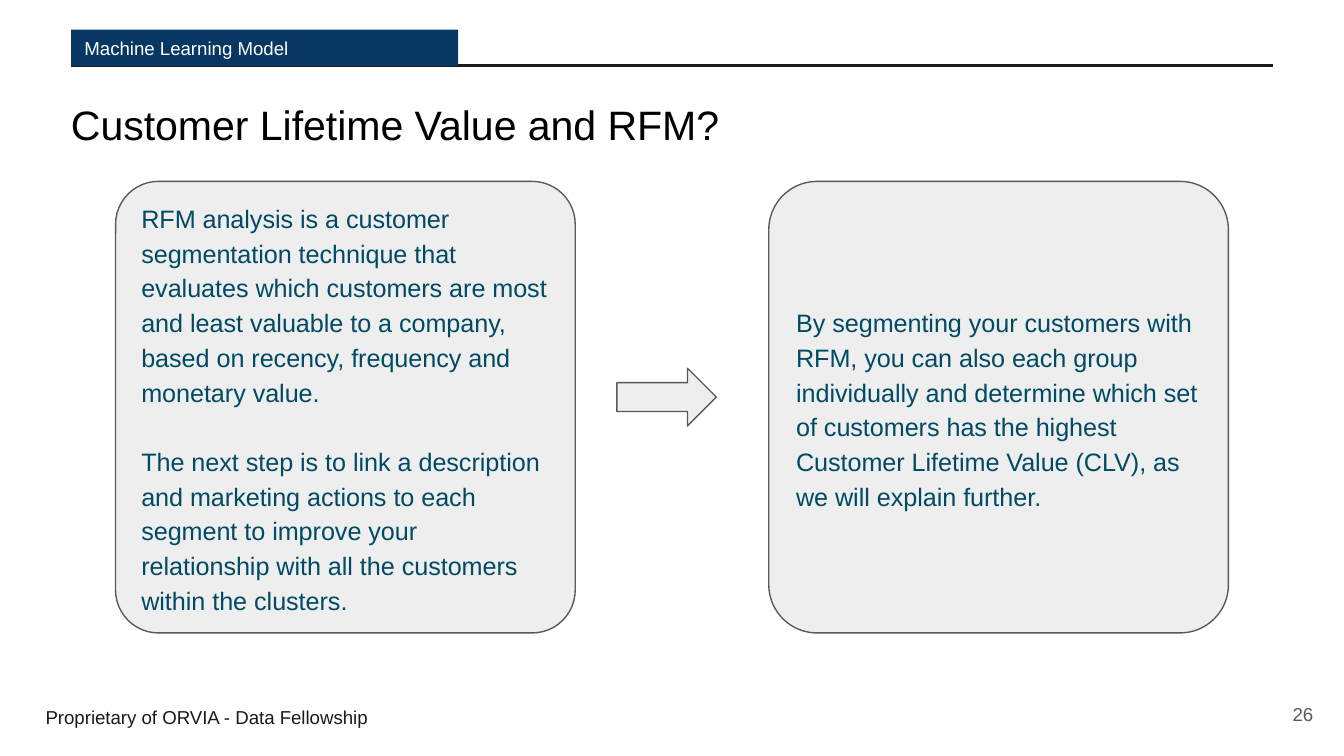
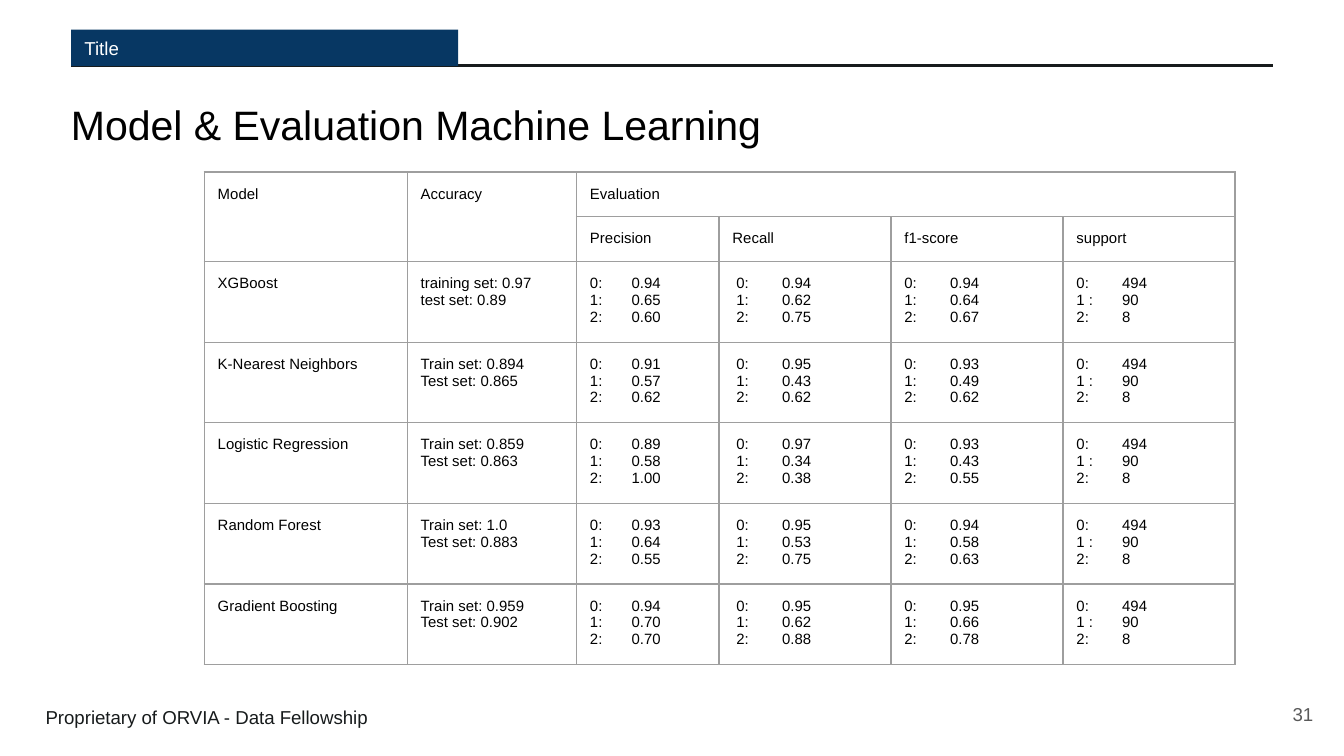
from lxml.etree import SubElement
from pptx import Presentation
from pptx.dml.color import RGBColor
from pptx.enum.shapes import MSO_CONNECTOR, MSO_SHAPE
from pptx.enum.text import MSO_ANCHOR, PP_ALIGN
from pptx.oxml.ns import qn
from pptx.util import Inches, Pt

FONT = "Arial"
NAVY = RGBColor(0x07, 0x37, 0x63)
INK = RGBColor(0x17, 0x1B, 0x1C)
TEAL = RGBColor(0x00, 0x4A, 0x64)
GREY = RGBColor(0x59, 0x59, 0x59)
PALE = RGBColor(0xEE, 0xEE, 0xEE)
BLACK = RGBColor(0x00, 0x00, 0x00)
WHITE = RGBColor(0xFF, 0xFF, 0xFF)
BORDER = RGBColor(0x9E, 0x9E, 0x9E)


def write(tf, text, size, color, spacing=None, align=PP_ALIGN.LEFT, gap=0):
    """Fill a frame, one paragraph per line of text, with gap points between them."""
    tf.word_wrap = True
    tf.vertical_anchor = MSO_ANCHOR.MIDDLE
    tf.margin_left = tf.margin_right = tf.margin_top = tf.margin_bottom = Inches(0.1)
    tf.text = text
    for i, p in enumerate(tf.paragraphs):
        p.alignment = align
        if spacing:
            p.line_spacing = spacing
        if i and gap:
            p.space_before = Pt(gap)
        for r in p.runs:
            r.font.name = FONT
            r.font.size = Pt(size)
            r.font.color.rgb = color


def add_block(s, kind, at, fill, line=None):
    sp = s.shapes.add_shape(kind, *map(Inches, at))
    sp.shadow.inherit = False
    sp.fill.solid()
    sp.fill.fore_color.rgb = fill
    if line is None:
        sp.line.fill.background()
    else:
        sp.line.color.rgb = line
        sp.line.width = Pt(0.75)
    return sp


prs = Presentation()
prs.slide_width = Inches(10)
prs.slide_height = prs.slide_width * 9 // 16

# Shared frame: rule, section tab, title, footer and page number
slides = []
for section, title, page in [
    ("Machine Learning Model", "Customer Lifetime Value and RFM?", "26"),
    ("Title", "Model & Evaluation Machine Learning", "31"),
]:
    s = prs.slides.add_slide(prs.slide_layouts[6])
    slides.append(s)
    rule = s.shapes.add_connector(
        MSO_CONNECTOR.STRAIGHT, Inches(0.53), Inches(0.49), Inches(9.47), Inches(0.49))
    rule.line.color.rgb = INK
    rule.line.width = Pt(1.5)
    SubElement(rule._element.spPr, qn("a:effectLst"))
    tab = add_block(s, MSO_SHAPE.RECTANGLE, (0.53, 0.22, 2.88, 0.27), NAVY)
    write(tab.text_frame, section, 10, WHITE)
    for at, text, size, color, spacing, align in [
        ((0.43, 0.57, 6.43, 0.71), title, 22, BLACK, None, PP_ALIGN.LEFT),
        ((0.24, 5.13, 3.61, 0.38), "Proprietary of ORVIA - Data Fellowship",
         10, INK, 1.15, PP_ALIGN.LEFT),
        ((9.27, 5.1, 0.6, 0.43), page, 10, GREY, None, PP_ALIGN.RIGHT),
    ]:
        box = s.shapes.add_textbox(*map(Inches, at))
        write(box.text_frame, text, size, color, spacing, align)

# Slide 1: two cards joined by an arrow
s = slides[0]
RFM = (
    "RFM analysis is a customer segmentation technique that evaluates which customers "
    "are most and least valuable to a company, based on recency, frequency and "
    "monetary value.\n"
    "The next step is to link a description and marketing actions to each segment to "
    "improve your relationship with all the customers within the clusters."
)
CLV = (
    "By segmenting your customers with RFM, you can also each group individually and "
    "determine which set of customers has the highest Customer Lifetime Value (CLV), "
    "as we will explain further."
)
for left, radius, text in [(0.86, 0.095, RFM), (5.72, 0.107, CLV)]:
    card = add_block(s, MSO_SHAPE.ROUNDED_RECTANGLE, (left, 1.35, 3.42, 3.36), PALE, GREY)
    card.adjustments[0] = radius
    write(card.text_frame, text, 13.5, TEAL, 1.15, gap=18.6)
add_block(s, MSO_SHAPE.RIGHT_ARROW, (4.59, 2.74, 0.74, 0.43), PALE, GREY)

# Slide 2: evaluation table; each score column lists classes 0, 1 and 2
s = slides[1]
MODELS = [
    ("XGBoost", "training set: 0.97\ntest set: 0.89",
     ("0.94 0.65 0.60", "0.94 0.62 0.75", "0.94 0.64 0.67")),
    ("K-Nearest Neighbors", "Train set: 0.894\nTest set: 0.865",
     ("0.91 0.57 0.62", "0.95 0.43 0.62", "0.93 0.49 0.62")),
    ("Logistic Regression", "Train set: 0.859\nTest set: 0.863",
     ("0.89 0.58 1.00", "0.97 0.34 0.38", "0.93 0.43 0.55")),
    ("Random Forest", "Train set: 1.0\nTest set: 0.883",
     ("0.93 0.64 0.55", "0.95 0.53 0.75", "0.94 0.58 0.63")),
    ("Gradient Boosting", "Train set: 0.959\nTest set: 0.902",
     ("0.94 0.70 0.70", "0.95 0.62 0.88", "0.95 0.66 0.78")),
]
SUPPORT = "494 90 8"
COLS = [1.51, 1.26, 1.06, 1.28, 1.28, 1.28]
ROWS = [0.29] * 2 + [0.54] * 5
TAB_STOPS = {2: 0.31, 3: 0.34, 4: 0.34, 5: 0.34}

grid = [
    ["Model", "Accuracy", "Evaluation", "", "", ""],
    ["", "", "Precision", "Recall", "f1-score", "support"],
]
for model, accuracy, scores in MODELS:
    row = [model, accuracy]
    for values in (*scores, SUPPORT):
        labels = ("0:", "1 :", "2:") if values == SUPPORT else ("0:", "1:", "2:")
        row.append("\n".join(f"{k}\t{v}" for k, v in zip(labels, values.split())))
    grid.append(row)

table = s.shapes.add_table(
    len(ROWS), len(COLS), Inches(1.52), Inches(1.28),
    Inches(sum(COLS)), Inches(sum(ROWS))).table
table.first_row = table.horz_banding = False
for col, width in zip(table.columns, COLS):
    col.width = Inches(width)
for row, height in zip(table.rows, ROWS):
    row.height = Inches(height)

for i, texts in enumerate(grid):
    for j, text in enumerate(texts):
        cell = table.cell(i, j)
        scored = i >= 2 and j in TAB_STOPS
        cell.text = text
        cell.margin_left = Inches(0.13 if scored and j == 3 else 0.1)
        cell.margin_right = cell.margin_top = cell.margin_bottom = Inches(0.1)
        for p in cell.text_frame.paragraphs:
            if scored:
                tabs = SubElement(p._p.get_or_add_pPr(), qn("a:tabLst"))
                SubElement(tabs, qn("a:tab"), pos=str(Inches(TAB_STOPS[j])), algn="l")
            for r in p.runs:
                r.font.name = FONT
                r.font.size = Pt(8)
                r.font.color.rgb = BLACK
            SubElement(p._p, qn("a:endParaRPr"), sz="800")
        tcPr = cell._tc.get_or_add_tcPr()
        for side in ("lnL", "lnR", "lnT", "lnB"):
            ln = SubElement(tcPr, qn(f"a:{side}"), w=str(Pt(0.75)))
            SubElement(SubElement(ln, qn("a:solidFill")), qn("a:srgbClr"), val=str(BORDER))
        cell.fill.background()

for first, last in [((0, 0), (1, 0)), ((0, 1), (1, 1)), ((0, 2), (0, 5))]:
    table.cell(*first).merge(table.cell(*last))

prs.save("out.pptx")
